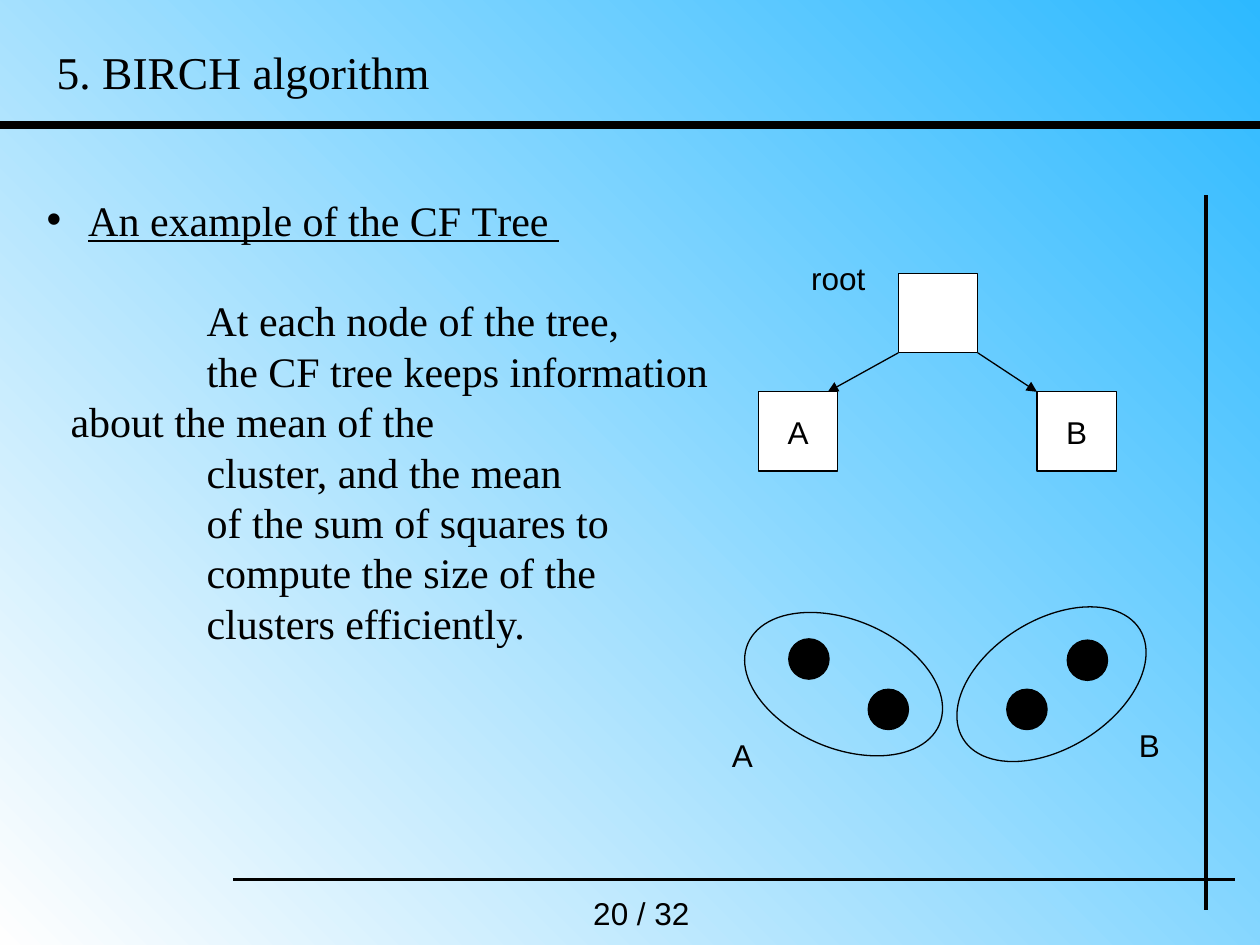
import pptx
import pptx.util
import pptx.dml.color
import pptx.enum.shapes
import pptx.enum.text
import pptx.oxml
import pptx.oxml.ns
from pptx.util import Inches

BLACK = pptx.dml.color.RGBColor(0x00, 0x00, 0x00)
WHITE = pptx.dml.color.RGBColor(0xFF, 0xFF, 0xFF)
SKY = pptx.dml.color.RGBColor(0x2D, 0xB9, 0xFF)
PALE = pptx.dml.color.RGBColor(0xFE, 0xFE, 0xFE)
SHAPE = pptx.enum.shapes.MSO_SHAPE
ANCHOR = pptx.enum.text.MSO_ANCHOR
ALIGN = pptx.enum.text.PP_ALIGN
SERIF, SANS = "Times New Roman", "Arial"
NODE, DOT = 0.63, 0.32
OVAL = (1.65, 1.02)


def add_mark(parent, tag, **attributes):
    mark = pptx.oxml.parse_xml(f"<{tag} {pptx.oxml.ns.nsdecls('a')}/>")
    for key, value in attributes.items():
        mark.set(key, value)
    parent.append(mark)


def place(part, left, top, width, height):
    part.left, part.top = Inches(left), Inches(top)
    part.width, part.height = Inches(width), Inches(height)


def style(paragraph, size, font, align=ALIGN.LEFT):
    paragraph.alignment = align
    paragraph.line_spacing = pptx.util.Pt(size * 1.2)
    paragraph.space_before = pptx.util.Pt(0)
    for run in paragraph.runs:
        run.font.size = pptx.util.Pt(size)
        run.font.name = font
        run.font.color.rgb = BLACK


def add_line(slide, start, end, weight, arrow=False):
    line = slide.shapes.add_connector(
        pptx.enum.shapes.MSO_CONNECTOR.STRAIGHT,
        *(Inches(value) for value in (*start, *end)))
    line.line.color.rgb = BLACK
    line.line.width = pptx.util.Pt(weight)
    if arrow:
        add_mark(line.line._get_or_add_ln(), "a:tailEnd", type="triangle")
    add_mark(line._element.spPr, "a:effectLst")


def add_outline(slide, kind, left, top, width, height, fill=None):
    outline = slide.shapes.add_shape(
        kind, *(Inches(value) for value in (left, top, width, height)))
    outline.shadow.inherit = False
    if fill is None:
        outline.fill.background()
    else:
        outline.fill.solid()
        outline.fill.fore_color.rgb = fill
    outline.line.color.rgb = BLACK
    outline.line.width = pptx.util.Pt(0.75)
    return outline


def add_label(slide, text, left, top, width, wrap=False):
    label = slide.shapes.add_textbox(
        *(Inches(value) for value in (left, top, width, 0.4)))
    label.text_frame.word_wrap = wrap
    label.text_frame.text = text
    style(label.text_frame.paragraphs[0], 18, SANS)


def add_node(slide, left, top, name=""):
    node = add_outline(slide, SHAPE.RECTANGLE, left, top, NODE, NODE, WHITE)
    if name:
        frame = node.text_frame
        frame.word_wrap = False
        frame.vertical_anchor = ANCHOR.MIDDLE
        frame.text = name
        style(frame.paragraphs[0], 18, SANS, ALIGN.CENTER)


def build_background(slide):
    fill = slide.background.fill
    fill.gradient()
    fill.gradient_angle = 225
    for stop, color in zip(fill.gradient_stops, (SKY, PALE)):
        stop.color.rgb = color
    for stop, position in zip(fill.gradient_stops, (0, 1)):
        stop.position = position


def build_frame(slide):
    add_line(slide, (0, 0.99), (10, 0.99), 4.5)
    add_line(slide, (1.85, 6.98), (9.8, 6.98), 2)
    add_line(slide, (9.57, 7.22), (9.57, 1.55), 2)


def build_title(slide, left, top, width, height):
    title = slide.shapes.title
    place(title, left, top, width, height)
    frame = title.text_frame
    frame.auto_size = pptx.enum.text.MSO_AUTO_SIZE.NONE
    frame.vertical_anchor = ANCHOR.TOP
    frame.text = "5. BIRCH algorithm"
    style(frame.paragraphs[0], 26, SERIF)


def build_body(slide, left, top, width, height):
    body = slide.placeholders[1]
    place(body, left, top, width, height)
    frame = body.text_frame
    frame.auto_size = pptx.enum.text.MSO_AUTO_SIZE.NONE
    frame.margin_right = Inches(0.15)
    frame.text = "\n".join((
        "An example of the CF Тree ",
        "At each node of the tree,",
        "the CF tree keeps information about the mean of the",
        "cluster, and the mean",
        "of the sum of squares to",
        "compute the size of the",
        "clusters efficiently."))
    heading, *lines = frame.paragraphs

    # Underlined heading with its bullet
    properties = heading._p.get_or_add_pPr()
    properties.set("marL", str(Inches(0.64)))
    properties.set("indent", str(Inches(-0.33)))
    add_mark(properties, "a:buFont", typeface=SANS)
    add_mark(properties, "a:buChar", char="•")
    style(heading, 24, SERIF)
    heading.runs[0].font.underline = True

    # Explanation, each first line set in from the margin
    for line in lines:
        properties = line._p.get_or_add_pPr()
        properties.set("marL", str(Inches(0.5)))
        properties.set("indent", str(Inches(1.08)))
        add_mark(properties, "a:buNone")
        style(line, 24, SERIF)
    lines[0].space_before = pptx.util.Pt(28.8)


def build_tree(slide, left, top):
    root_left, child_top = left + 1.11, top + 0.94
    root_bottom = top + NODE
    add_node(slide, root_left, top)
    add_label(slide, "root", left + 0.32, top - 0.16, 0.63)
    for name, offset in (("A", 0), ("B", 2.21)):
        add_node(slide, left + offset, child_top, name)
    add_line(slide, (root_left, root_bottom),
             (left + 0.55, child_top), 0.75, arrow=True)
    add_line(slide, (root_left + NODE, root_bottom),
             (left + 2.21, child_top), 0.75, arrow=True)


def build_clusters(slide, left, top):
    for x, y in ((0.39, 0.15), (1.02, 0.55), (2.6, 0.16), (2.12, 0.55)):
        add_outline(slide, SHAPE.OVAL, left + x, top + y, DOT, DOT, BLACK)
    for index, angle in enumerate((22.9, 148.2)):
        cluster = add_outline(slide, SHAPE.OVAL,
                              left + index * OVAL[0], top, *OVAL)
        cluster.rotation = angle
    add_label(slide, "A", left - 0.16, top + 0.87, 0.36)
    add_label(slide, "B", left + 3.07, top + 0.79, 0.36)


def main():
    deck = pptx.Presentation()
    deck.slide_width, deck.slide_height = Inches(10), Inches(7.5)
    slide = deck.slides.add_slide(deck.slide_layouts[1])
    build_background(slide)
    build_frame(slide)
    build_title(slide, 0.35, 0.3, 9.45, 0.54)
    build_body(slide, -0.04, 1.49, 6.54, 4.1)
    build_tree(slide, 6.02, 2.17)
    build_clusters(slide, 5.87, 4.92)
    # Page count
    add_label(slide, "20 / 32", 4.61, 7.05, 1.02, wrap=True)
    deck.save("out.pptx")


if __name__ == "__main__":
    main()
